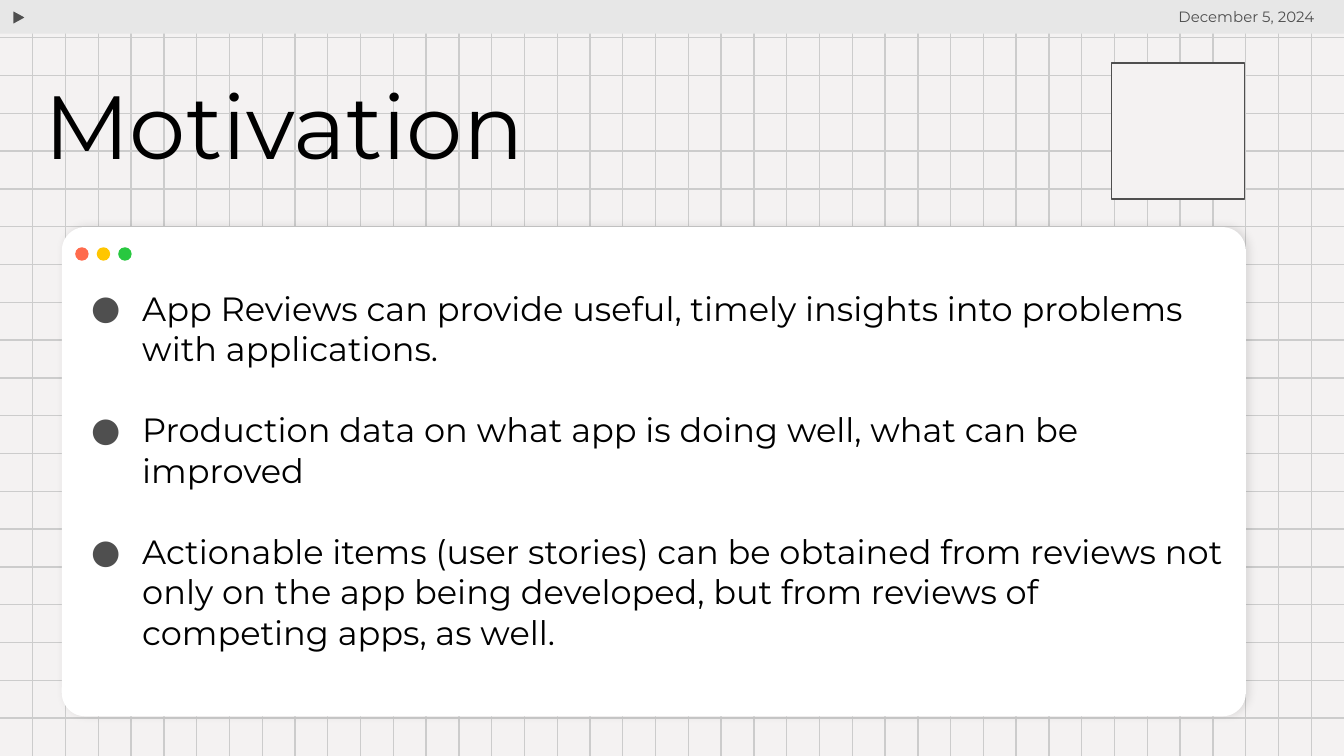
from lxml.etree import SubElement as Sub
from pptx import Presentation
from pptx.dml.color import RGBColor
from pptx.enum.shapes import MSO_CONNECTOR as Conn, MSO_SHAPE as Kind
from pptx.enum.text import MSO_ANCHOR as Anchor, MSO_AUTO_SIZE as Size, PP_ALIGN as Align
from pptx.oxml.ns import qn
from pptx.util import Inches as In, Pt

# Content
TITLE = "Motivation"
DATE = "December 5, 2024"
POINTS = [
    "App Reviews can provide useful, timely insights into problems with applications.",
    "Production data on what app is doing well, what can be improved",
    "Actionable items (user stories) can be obtained from reviews not only on the app "
    "being developed, but from reviews of competing apps, as well.",
]
DOTS = ["FF6B4D", "FFC600", "28C840"]

# Look
FONT, INK, GREY, PAPER, RULE, BAR = (
    "Montserrat", "000000", "4F4F4F", "F4F2F2", "CCCCCC", "E7E7E7")
W, H = 10, 5.625
COLS, ROWS = 41, 20
CARD = (0.46, 1.69, 8.81, 3.64)
TILE = (8.27, 0.47, 0.99, 1.01)

deck = Presentation()
deck.slide_width, deck.slide_height = In(W), In(H)
slide = deck.slides.add_slide(deck.slide_layouts[5])
shapes = slide.shapes


def paint(fill, color):
    fill.solid()
    fill.fore_color.rgb = RGBColor.from_string(color)


def block(kind, box, color, edge=None):
    shape = shapes.add_shape(kind, *map(In, box))
    shape.shadow.inherit = False
    paint(shape.fill, color)
    if edge:
        paint(shape.line.fill, edge)
        shape.line.width = Pt(0.75)
    else:
        shape.line.fill.background()
    return shape


def rule(x1, y1, x2, y2):
    line = shapes.add_connector(Conn.STRAIGHT, In(x1), In(y1), In(x2), In(y2))
    paint(line.line.fill, RULE)
    line.line.width = Pt(0.75)
    Sub(line._element.spPr, qn("a:effectLst"))


def place(shape, box):
    shape.left, shape.top, shape.width, shape.height = map(In, box)
    frame = shape.text_frame
    frame.word_wrap, frame.auto_size = True, Size.NONE
    frame.vertical_anchor = Anchor.TOP
    frame.margin_left = frame.margin_right = In(0.1)
    frame.margin_top = frame.margin_bottom = In(0.1)
    return frame


def write(para, text, size, color=INK, align=Align.LEFT):
    para.alignment = align
    run = para.add_run()
    run.text = text
    run.font.name, run.font.size = FONT, Pt(size)
    run.font.color.rgb = RGBColor.from_string(color)


def bullet(para):
    props = para._p.get_or_add_pPr()
    props.set("marL", str(In(0.5)))
    props.set("indent", str(In(-0.38)))
    Sub(Sub(props, qn("a:buClr")), qn("a:srgbClr"), val=GREY)
    Sub(props, qn("a:buFont"), typeface=FONT)
    Sub(props, qn("a:buChar"), char="●")


# Squared paper
paint(slide.background.fill, PAPER)
for row in range(1, ROWS):
    rule(0, row * H / ROWS, W, row * H / ROWS)
for col in range(1, COLS):
    rule(col * W / COLS, 0, col * W / COLS, H)

# Top bar with its arrow
block(Kind.RECTANGLE, (0, 0, W, 0.25), BAR)
block(Kind.ISOSCELES_TRIANGLE, (0.09, 0.08, 0.11, 0.1), GREY, BAR).rotation = 90

# Window card with a soft shadow
card = block(Kind.ROUNDED_RECTANGLE, CARD, "FFFFFF")
card.adjustments[0] = 0.048
soft = Sub(card._element.spPr.find(qn("a:effectLst")), qn("a:outerShdw"),
           blurRad=str(Pt(4.5)), dist=str(Pt(1.5)), dir="0", algn="bl", rotWithShape="0")
Sub(Sub(soft, qn("a:srgbClr"), val=INK), qn("a:alpha"), val="11000")
for i, color in enumerate(DOTS):
    block(Kind.OVAL, (CARD[0] + 0.1 + 0.16 * i, CARD[1] + 0.15, 0.1, 0.1), color)

# Bullet list, one line apart
body = place(shapes.add_textbox(0, 0, 0, 0), (CARD[0], 2.04, CARD[2], 2.63))
for i, text in enumerate(POINTS):
    para = body.add_paragraph() if i else body.paragraphs[0]
    para.space_before = Pt(22 if i else 0)
    bullet(para)
    write(para, text, 18)

# Title, brought in front of the paper
title = shapes.title
shapes._spTree.append(title._element)
head = place(title, (0.23, 0.51, 9.55, 0.93)).paragraphs[0]
head.line_spacing = 0.9
write(head, TITLE, 48)

# Date
date = place(shapes.add_textbox(0, 0, 0, 0), (8.21, -0.04, 1.67, 0.47))
write(date.paragraphs[0], DATE, 8, GREY, Align.RIGHT)

# Plain corner tile
block(Kind.RECTANGLE, TILE, PAPER, GREY)

deck.save("out.pptx")
